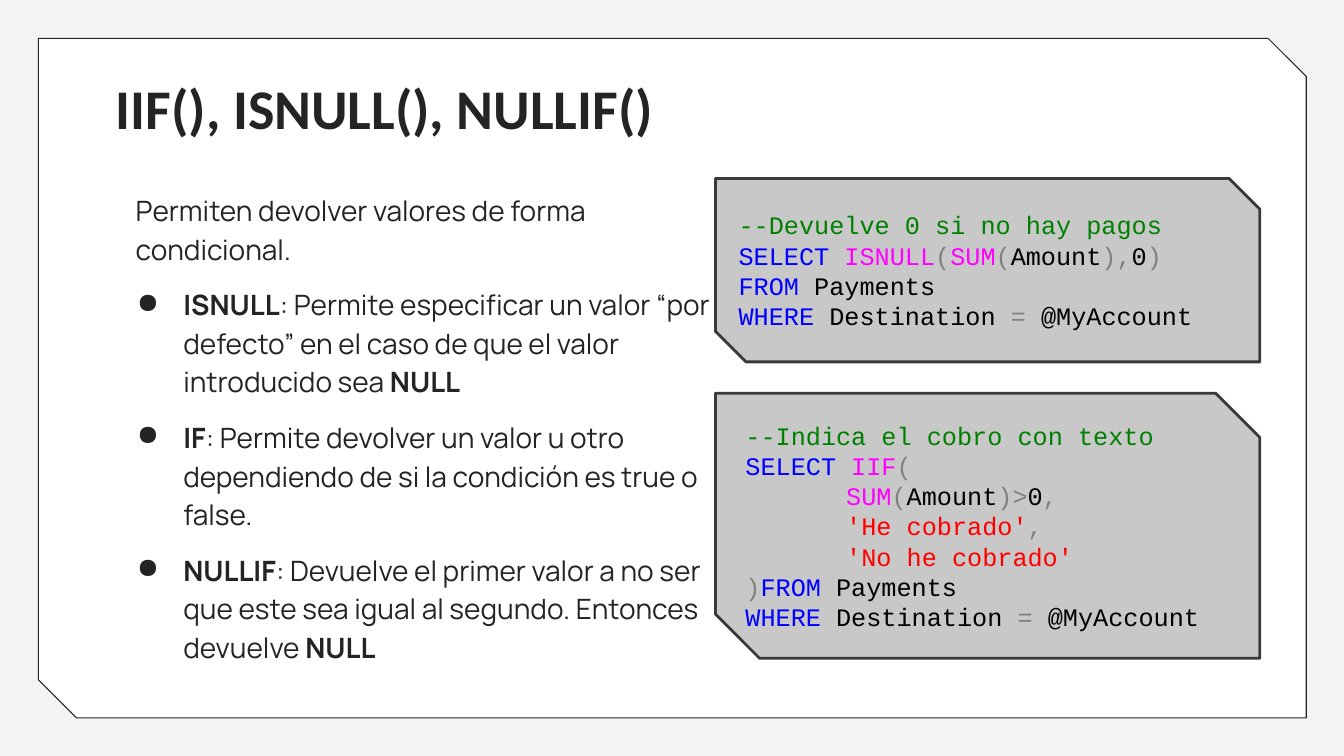
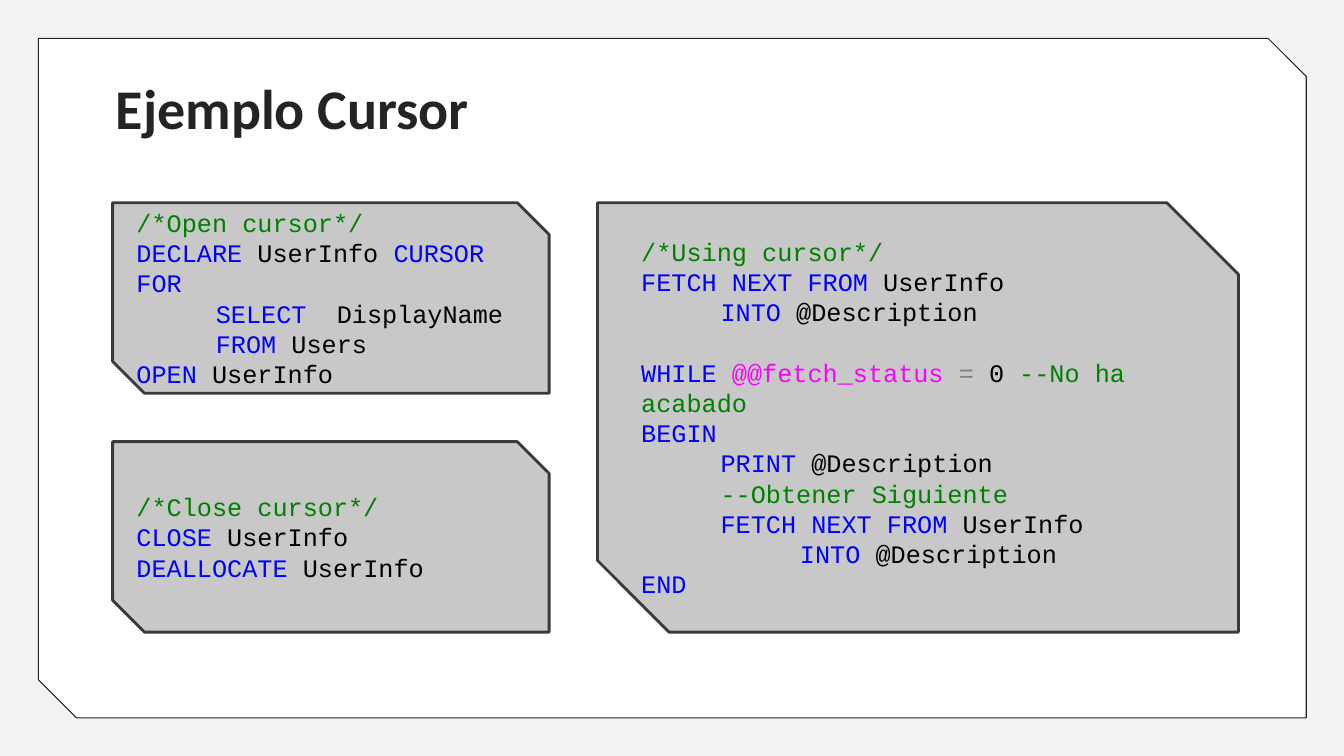
from dataclasses import dataclass
from pptx import Presentation
from pptx.dml.color import RGBColor
from pptx.enum.shapes import MSO_SHAPE as Shape
from pptx.enum.text import MSO_ANCHOR as Anchor, PP_ALIGN as Align
from pptx.oxml.ns import qn
from pptx.util import Cm, Pt
from lxml.etree import SubElement

COLORS = {
    "backdrop": "F3F3F3", "panel": "FFFFFF", "ink": "242424",
    "code_fill": "C8C8C8", "code_edge": "3A3A3A",
    "comment": "008000", "keyword": "0000FF", "function": "FF00FF",
    "symbol": "808080", "name": "000000", "string": "FF0000",
}
TITLE_FONT, BODY_FONT, CODE_FONT = "Calibri", "Manrope", "Courier New"
CODE_LINE = Pt(21.5)


@dataclass
class Box:
    left: float
    top: float
    width: float
    height: float

    def place(self):
        return Cm(self.left), Cm(self.top), Cm(self.width), Cm(self.height)

    def rows(self, heights, gap):
        top = self.top
        for height in heights:
            yield Box(self.left, top, self.width, height)
            top += height + gap


@dataclass
class Line:
    tokens: list
    level: int = 0
    gap_before: bool = False


PANEL = Box(0.97, 0.97, 31.95, 17.12)
TITLE = Box(2.67, 1.6, 28.52, 2.13)


def rgb(role):
    return RGBColor.from_string(COLORS[role])


def style(paragraph, font, size, color=None, bold=None):
    paragraph.alignment = Align.LEFT
    paragraph.font.name, paragraph.font.size = font, Pt(size)
    paragraph.font.bold = bold
    if color:
        paragraph.font.color.rgb = rgb(color)


def indent(paragraph, left, first=0):
    props = paragraph._p.get_or_add_pPr()
    props.set("marL", str(Cm(left)))
    props.set("indent", str(Cm(first)))
    return props


def set_insets(frame, side, end):
    frame.word_wrap = True
    frame.margin_left = frame.margin_right = Cm(side)
    frame.margin_top = frame.margin_bottom = Cm(end)


def paragraphs(frame, items):
    for index, item in enumerate(items):
        yield (frame.add_paragraph() if index else frame.paragraphs[0]), item


def add_snipped(slide, box, fill, edge, weight):
    snipped = slide.shapes.add_shape(Shape.SNIP_2_DIAG_RECTANGLE, *box.place())
    snipped.shadow.inherit = False
    snipped.fill.solid()
    snipped.fill.fore_color.rgb = rgb(fill)
    snipped.line.color.rgb = rgb(edge)
    snipped.line.width = Pt(weight)
    return snipped


def add_text_area(slide, box):
    frame = slide.shapes.add_textbox(*box.place()).text_frame
    set_insets(frame, 0.25, 0.25)
    return frame


def add_titled_slide(prs, title):
    slide = prs.slides.add_slide(prs.slide_layouts[6])
    slide.background.fill.solid()
    slide.background.fill.fore_color.rgb = rgb("backdrop")
    panel = add_snipped(slide, PANEL, "panel", "ink", 0.75)
    panel.adjustments[0], panel.adjustments[1] = 0, 0.056
    heading = add_text_area(slide, TITLE).paragraphs[0]
    heading.text = title
    style(heading, TITLE_FONT, 40, "ink", True)
    return slide


def add_explanation(slide, box, intro, entries):
    frame = add_text_area(slide, box)
    for paragraph, entry in paragraphs(frame, [intro] + entries):
        style(paragraph, BODY_FONT, 20, "ink")
        paragraph.line_spacing = 1.15
        if entry is intro:
            paragraph.text = intro
            indent(paragraph, 0.5)
            continue
        paragraph.space_before = Pt(12)
        for position, words in enumerate(entry):
            run = paragraph.add_run()
            run.text = words
            run.font.bold = position % 2 == 0
        props = indent(paragraph, 1.7, -1.17)
        bullet = SubElement(props, qn("a:buChar"), char="●")
        props.find(qn("a:defRPr")).addprevious(bullet)


def add_code(slide, box, lines, tab=2.0):
    frame = add_snipped(slide, box, "code_fill", "code_edge", 2).text_frame
    set_insets(frame, 0.2, 0.13)
    frame.vertical_anchor = Anchor.MIDDLE
    for paragraph, line in paragraphs(frame, lines):
        style(paragraph, CODE_FONT, 18)
        indent(paragraph, line.level * tab)
        if line.gap_before:
            paragraph.space_before = CODE_LINE
        for role, words in line.tokens:
            run = paragraph.add_run()
            run.text = words
            run.font.color.rgb = rgb(role)


def statement(keyword, name, level=0):
    return Line([("keyword", keyword + " "), ("name", name)], level)


def comment(words, level=0):
    return Line([("comment", words)], level)


FROM_PAYMENTS = statement("FROM", "Payments")
WHERE_MINE = Line([("keyword", "WHERE "), ("name", "Destination "),
                   ("symbol", "="), ("name", " @MyAccount")])

NULL_ENTRIES = [
    ["ISNULL", ": Permite especificar un valor “por defecto” en el caso de que "
     "el valor introducido sea ", "NULL"],
    ["IF", ": Permite devolver un valor u otro dependiendo de si la condición "
     "es true o false."],
    ["NULLIF", ": Devuelve el primer valor a no ser que este sea igual al "
     "segundo. Entonces devuelve ", "NULL"],
]

ISNULL_CODE = [
    comment("--Devuelve 0 si no hay pagos"),
    Line([("keyword", "SELECT "), ("function", "ISNULL"), ("symbol", "("),
          ("function", "SUM"), ("symbol", "("), ("name", "Amount"),
          ("symbol", "),"), ("name", "0"), ("symbol", ")")]),
    FROM_PAYMENTS,
    WHERE_MINE,
]

IIF_CODE = [
    comment("--Indica el cobro con texto"),
    Line([("keyword", "SELECT "), ("function", "IIF"), ("symbol", "(")]),
    Line([("function", "SUM"), ("symbol", "("), ("name", "Amount"),
          ("symbol", ")>"), ("name", "0"), ("symbol", ",")], 1),
    Line([("string", "'He cobrado'"), ("symbol", ",")], 1),
    Line([("string", "'No he cobrado'")], 1),
    Line([("symbol", ")")] + FROM_PAYMENTS.tokens),
    WHERE_MINE,
]

OPEN_CODE = [
    comment("/*Open cursor*/"),
    Line([("keyword", "DECLARE "), ("name", "UserInfo "),
          ("keyword", "CURSOR FOR")]),
    statement("SELECT ", "DisplayName", 1),
    statement("FROM", "Users", 1),
    statement("OPEN", "UserInfo"),
]

CLOSE_CODE = [
    comment("/*Close cursor*/"),
    statement("CLOSE", "UserInfo"),
    statement("DEALLOCATE", "UserInfo"),
]

FETCH_CODE = [
    comment("/*Using cursor*/"),
    statement("FETCH NEXT FROM", "UserInfo"),
    statement("INTO", "@Description", 1),
    Line([("keyword", "WHILE "), ("function", "@@fetch_status "),
          ("symbol", "="), ("name", " 0 "), ("comment", "--No ha acabado")],
         gap_before=True),
    Line([("keyword", "BEGIN")]),
    statement("PRINT", "@Description", 1),
    comment("--Obtener Siguiente", 1),
    statement("FETCH NEXT FROM", "UserInfo", 1),
    statement("INTO", "@Description", 2),
    Line([("keyword", "END")]),
]


def build_null_functions(prs):
    slide = add_titled_slide(prs, "IIF(), ISNULL(), NULLIF()")
    add_explanation(slide, Box(2.67, 4.5, 15.6, 12.65),
                    "Permiten devolver valores de forma condicional.",
                    NULL_ENTRIES)
    isnull_box, iif_box = Box(18.03, 4.5, 13.72, 12.09).rows([4.62, 6.68], 0.79)
    add_code(slide, isnull_box, ISNULL_CODE)
    add_code(slide, iif_box, IIF_CODE, tab=2.54)


def build_cursor_example(prs):
    slide = add_titled_slide(prs, "Ejemplo Cursor")
    open_box, close_box = Box(2.84, 5.11, 11, 10.82).rows([4.8, 4.8], 1.22)
    add_code(slide, open_box, OPEN_CODE)
    add_code(slide, Box(15.06, 5.11, 16.15, 10.82), FETCH_CODE)
    add_code(slide, close_box, CLOSE_CODE)


def main():
    prs = Presentation()
    prs.slide_width, prs.slide_height = Cm(33.87), Cm(19.05)
    build_null_functions(prs)
    build_cursor_example(prs)
    prs.save("out.pptx")


if __name__ == "__main__":
    main()
